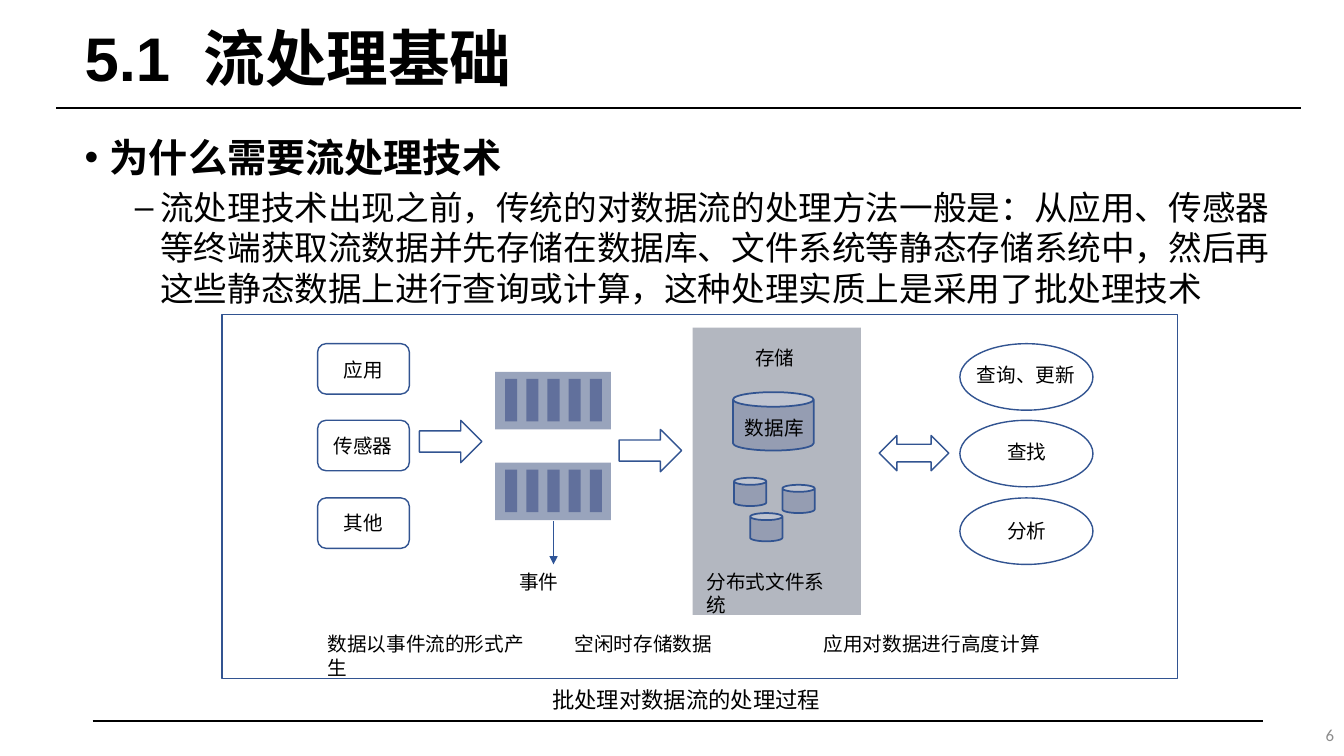
import pptx
import pptx.util
import pptx.dml.color
import pptx.enum.shapes
import pptx.enum.text
import pptx.oxml
import pptx.oxml.ns
from lxml import etree

Inches = pptx.util.Inches
Pt = pptx.util.Pt
SHAPE = pptx.enum.shapes.MSO_SHAPE
STRAIGHT = pptx.enum.shapes.MSO_CONNECTOR.STRAIGHT
ALIGN = pptx.enum.text.PP_ALIGN
MIDDLE = pptx.enum.text.MSO_ANCHOR.MIDDLE
qn = pptx.oxml.ns.qn
CJK = "Noto Sans CJK SC"
BLUE = "325491"


def paint(fmt, color):
    """Fill a shape, line or font colour holder with a hex colour."""
    fmt.fill.solid()
    fmt.fill.fore_color.rgb = pptx.dml.color.RGBColor.from_string(color)


def add_run(p, text, font):
    """Add black text; font holds name, size, bold and such."""
    r = p.add_run()
    r.text = text
    paint(r.font, "000000")
    for name, value in font.items():
        setattr(r.font, name, value)
    etree.SubElement(r.font._element, qn("a:ea"), typeface=CJK)
    return r


prs = pptx.Presentation()
prs.slide_width, prs.slide_height = Inches(13.33), Inches(7.5)
s = prs.slides.add_slide(prs.slide_layouts[6])

# Rules and the event arrow
for x1, y1, x2, y2, color, width in [
    (0.56, 1.07, 12.9, 1.07, "000000", 1.75),
    (0.92, 7.15, 12.53, 7.15, "000000", 1.25),
    (5.49, 5.17, 5.49, 5.6, "2F5597", 1),
]:
    line = s.shapes.add_connector(STRAIGHT, Inches(x1), Inches(y1), Inches(x2), Inches(y2))
    paint(line.line, color)
    line.line.width = Pt(width)
    etree.SubElement(line._element.spPr, qn("a:effectLst"))
event_line = line.line._get_or_add_ln()
etree.SubElement(event_line, qn("a:tailEnd"), type="triangle")

# Title, with a tab between number and name
sp = s.shapes.add_textbox(Inches(0.74), Inches(0.15), Inches(11.95), Inches(0.92))
tf = sp.text_frame
tf.word_wrap, tf.vertical_anchor = True, MIDDLE
p = tf.paragraphs[0]
tabs = etree.SubElement(p._p.get_or_add_pPr(), qn("a:tabLst"))
etree.SubElement(tabs, qn("a:tab"), pos=str(Inches(1.18)), algn="l")
p.line_spacing = 0.9
add_run(p, "5.1\t流处理基础", {"name": "Arial", "size": Pt(44), "bold": True})

# Body
sp = s.shapes.add_textbox(Inches(0.74), Inches(1.27), Inches(11.95), Inches(5.49))
tf = sp.text_frame
tf.word_wrap = True
for level, (bullet, margin, before, size, bold, text) in enumerate([
    ("•", 0.25, 0, 28, True, "为什么需要流处理技术"),
    ("–", 0.75, 5, 24, False,
     "流处理技术出现之前，传统的对数据流的处理方法一般是：从应用、传感器等终端获取流数据"
     "并先存储在数据库、文件系统等静态存储系统中，然后再这些静态数据上进行查询或计算，"
     "这种处理实质上是采用了批处理技术"),
]):
    p = tf.add_paragraph() if level else tf.paragraphs[0]
    p.level = level
    pPr = p._p.get_or_add_pPr()
    pPr.set("marL", str(Inches(margin)))
    pPr.set("indent", str(Inches(-0.25)))
    etree.SubElement(pPr, qn("a:buFont"), typeface="Arial")
    etree.SubElement(pPr, qn("a:buChar"), char=bullet)
    p.space_before = Pt(before)
    add_run(p, text, {"name": "Calibri", "size": Pt(size), "bold": bold})

# Diagram shapes: kind, left, top, width, height, fill, line width
row_tops = [3.41, 4.17, 4.94]
shapes = [(SHAPE.RECTANGLE, 6.87, 3.25, 1.67, 2.85, "B3B7C0", 0)]
for top in row_tops:
    shapes.append((SHAPE.ROUNDED_RECTANGLE, 3.15, top, 0.91, 0.5, None, 1))
    shapes.append((SHAPE.OVAL, 9.52, top, 1.32, 0.66, None, 1))
shapes += [
    (SHAPE.RIGHT_ARROW, 4.16, 4.17, 0.62, 0.42, None, 1),
    (SHAPE.RIGHT_ARROW, 6.14, 4.26, 0.62, 0.42, None, 1),
    (SHAPE.LEFT_RIGHT_ARROW, 8.72, 4.32, 0.69, 0.35, None, 1),
    (SHAPE.CAN, 7.27, 3.89, 0.8, 0.58, "959DB2", 1.25),
]
for left, top in [(7.28, 4.74), (7.44, 5.09), (7.76, 4.81)]:
    shapes.append((SHAPE.CAN, left, top, 0.32, 0.28, "959DB2", 1.25))
for top in (3.69, 4.59):
    shapes.append((SHAPE.RECTANGLE, 4.91, top, 1.15, 0.57, "99A4BC", 0))
    for bar in range(5):
        shapes.append((SHAPE.RECTANGLE, 5.01 + 0.21 * bar, top + 0.07, 0.12, 0.42, "61709C", 0))
shapes.append((SHAPE.RECTANGLE, 2.2, 3.12, 9.48, 3.61, None, 1))

for kind, left, top, width, height, fill, line_width in shapes:
    sp = s.shapes.add_shape(kind, Inches(left), Inches(top), Inches(width), Inches(height))
    sp.shadow.inherit = False
    if fill:
        paint(sp, fill)
    else:
        sp.fill.background()
    if line_width:
        paint(sp.line, BLUE)
        sp.line.width = Pt(line_width)
    else:
        sp.line.fill.background()

# Diagram labels: text, left, top, width
for text, left, top, width in [
    ("应用", 3.31, 3.5, 0.62),
    ("传感器", 3.21, 4.26, 0.82),
    ("其他", 3.31, 5.02, 0.62),
    ("事件", 5.05, 5.6, 0.62),
    ("存储", 7.39, 3.38, 0.62),
    ("数据库", 7.29, 4.08, 0.82),
    ("分布式文件系统", 6.91, 5.6, 1.56),
    ("查询、更新", 9.59, 3.55, 1.21),
    ("查找", 9.89, 4.32, 0.62),
    ("分析", 9.89, 5.1, 0.62),
    ("数据以事件流的形式产生", 3.15, 6.22, 2.34),
    ("空闲时存储数据", 5.6, 6.22, 1.68),
    ("应用对数据进行高度计算", 8.07, 6.22, 2.78),
]:
    sp = s.shapes.add_textbox(Inches(left), Inches(top), Inches(width), Inches(0.34))
    sp.text_frame.word_wrap = True
    add_run(sp.text_frame.paragraphs[0], text, {"name": CJK, "size": Pt(14)})

# Caption and page number
sp = s.shapes.add_textbox(Inches(5.38), Inches(6.76), Inches(2.93), Inches(0.37))
sp.text_frame.word_wrap = True
add_run(sp.text_frame.paragraphs[0], "批处理对数据流的处理过程", {"name": "Arial", "size": Pt(16)})

sp = s.shapes.add_textbox(Inches(10.33), Inches(7.09), Inches(3), Inches(0.4))
tf = sp.text_frame
tf.word_wrap, tf.vertical_anchor = True, MIDDLE
p = tf.paragraphs[0]
p.alignment = ALIGN.RIGHT
r = add_run(p, "6", {"name": "Calibri", "size": Pt(12)})
paint(r.font, "8C8C8C")

prs.save("out.pptx")
